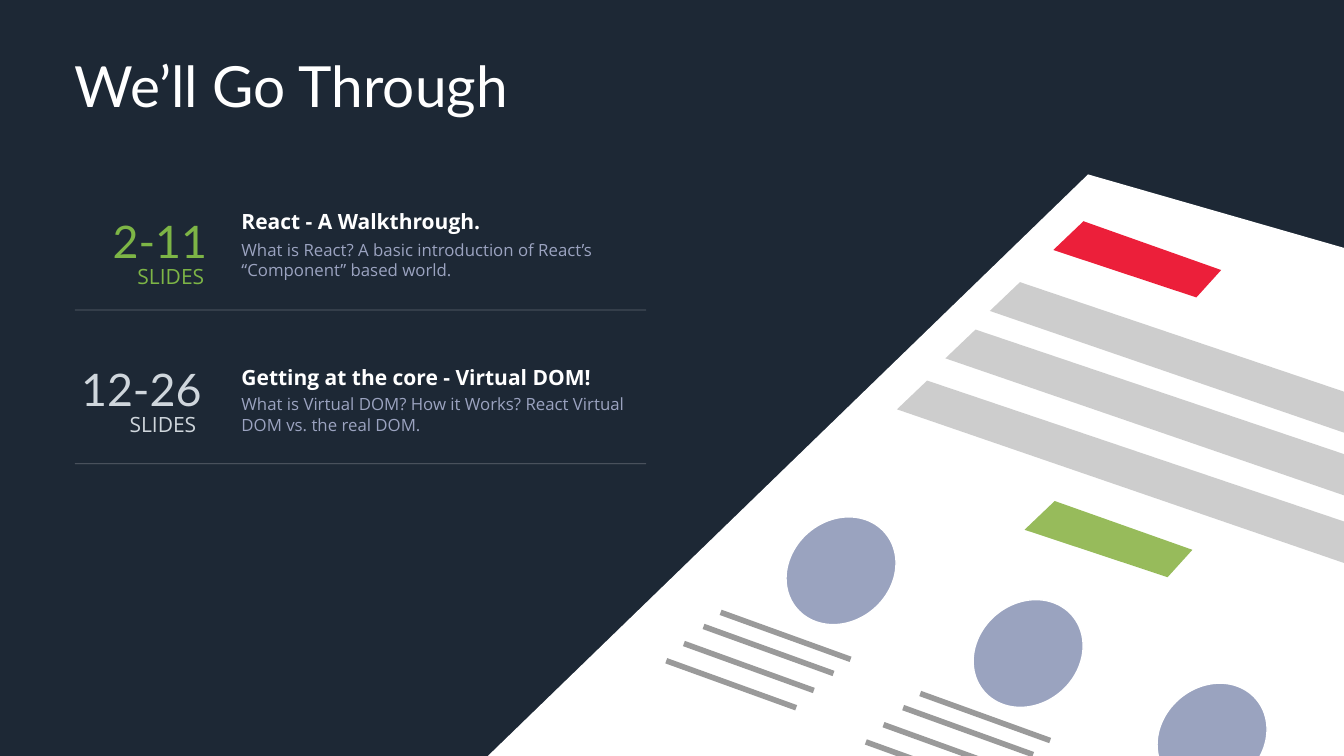
from lxml import etree
from pptx import Presentation, util as u
from pptx.dml.color import RGBColor
from pptx.enum import shapes, text
from pptx.oxml.ns import qn

NAVY, WHITE, GREEN, PALE = "1D2835", "FFFFFF", "7DB546", "CFD6DC"
RED, LIME, BAR, BLUE, LINE, MUTED = "EC1F3A", "97BB5B", "CDCDCD", "9AA3BF", "9A9A9A", "9BA3C0"

# Outlines and offsets in cm, relative to an element's own origin
PAGE = [(24.59, 38.1), (54.84, 8.79), (86.16, 17.78), (69.24, 38.48)]
TAG = [(1.52, 0), (0, 1.45), (7.21, 3.84), (8.46, 2.46)]
STRIPE = [(1.52, 0), (0, 1.45), (26.39, 10.52), (27.91, 8.92)]
CAPTION_LINES = [(0, 0), (-0.86, 0.71), (-1.85, 1.57), (-2.74, 2.44)]


def rgb(color):
    return RGBColor.from_string(color)


class Deck:
    heading_font = "Lato"
    body_font = "Open Sans"

    def __init__(self, width, height):
        self.prs = Presentation()
        self.prs.slide_width, self.prs.slide_height = u.Cm(width), u.Cm(height)

    def add_slide(self, color):
        self.s = self.prs.slides.add_slide(self.prs.slide_layouts[6])
        fill = self.s.background.fill
        fill.solid()
        fill.fore_color.rgb = rgb(color)

    def paint(self, sp, color, outline=None):
        sp.shadow.inherit = False
        sp.fill.solid()
        sp.fill.fore_color.rgb = rgb(color)
        if outline:
            sp.line.color.rgb = rgb(outline)
            sp.line.width = u.Pt(2)
        else:
            sp.line.fill.background()

    def polygon(self, points, color, x=0, y=0):
        corners = [(u.Cm(x + dx), u.Cm(y + dy)) for dx, dy in points]
        builder = self.s.shapes.build_freeform(*corners[0])
        builder.add_line_segments(corners[1:], close=True)
        self.paint(builder.convert_to_shape(), color)

    def oval(self, x, y, w, h, color, rotation):
        sp = self.s.shapes.add_shape(shapes.MSO_SHAPE.OVAL, u.Cm(x), u.Cm(y), u.Cm(w), u.Cm(h))
        sp.rotation = rotation
        self.paint(sp, color, WHITE)

    def line(self, x, y, dx, dy, color, width, opacity=100):
        c = self.s.shapes.add_connector(
            shapes.MSO_CONNECTOR.STRAIGHT, u.Cm(x), u.Cm(y), u.Cm(x + dx), u.Cm(y + dy))
        c.line.color.rgb = rgb(color)
        c.line.width = u.Pt(width)
        props = c._element.spPr
        if opacity < 100:
            clr = next(props.iter(qn("a:srgbClr")))
            etree.SubElement(clr, qn("a:alpha")).set("val", str(opacity * 1000))
        etree.SubElement(props, qn("a:effectLst"))

    def text(self, x, y, w, h, words, size, color, font, bold=False, wrap=True,
             align=text.PP_ALIGN.LEFT, anchor=text.MSO_ANCHOR.MIDDLE):
        tf = self.s.shapes.add_textbox(u.Cm(x), u.Cm(y), u.Cm(w), u.Cm(h)).text_frame
        tf.margin_left = tf.margin_right = tf.margin_top = tf.margin_bottom = 0
        tf.word_wrap = wrap
        tf.auto_size = text.MSO_AUTO_SIZE.NONE if wrap else text.MSO_AUTO_SIZE.SHAPE_TO_FIT_TEXT
        tf.vertical_anchor = anchor
        p = tf.paragraphs[0]
        p.alignment = align
        r = p.add_run()
        r.text = words
        r.font.size, r.font.name, r.font.bold = u.Pt(size), font, bold
        r.font.color.rgb = rgb(color)

    def topic(self, heading, body, slides, color, heading_y, body_y, rule_y,
              number_x, number_y, number_w, label_x):
        """Add one agenda row: slide range, heading, description and rule."""
        self.line(3.78, rule_y, 28.78, 0, WHITE, 1, opacity=30)
        self.text(12.17, heading_y, 20.02, 1.65, heading, 30, WHITE, self.body_font, bold=True)
        self.text(12.17, body_y, 20.02, 2.54, body, 24, MUTED, self.body_font,
                  anchor=text.MSO_ANCHOR.TOP)
        self.text(number_x, number_y, number_w, 2.74, slides, 64, color, self.heading_font,
                  wrap=False, align=text.PP_ALIGN.RIGHT)
        self.text(label_x, number_y + 2.54, 3.53, 1.27, "SLIDES", 30, color, self.body_font,
                  wrap=False)


def main():
    deck = Deck(67.74, 38.1)
    deck.add_slide(NAVY)
    deck.text(3.78, 2.57, 24.21, 3.45, "We’ll Go Through", 81, WHITE, deck.heading_font,
              wrap=False)

    # Tilted web page
    deck.polygon(PAGE, WHITE)
    deck.polygon(TAG, RED, 53.09, 11.15)
    for x, y in [(49.89, 14.22), (47.65, 16.61), (45.21, 19.18)]:
        deck.polygon(STRIPE, BAR, x, y)
    deck.polygon(TAG, LIME, 51.64, 25.25)
    for x, y in [(39.85, 25.83), (49.28, 30), (58.55, 34.21)]:
        deck.oval(x, y, 5.08, 5.87, BLUE, 49.1)
    for x, y in [(36.32, 30.86), (46.38, 34.95)]:
        for dx, dy in CAPTION_LINES:
            deck.line(x + dx, y + dy, 6.55, 2.37, LINE, 8)

    # Agenda
    deck.topic("React - A Walkthrough.",
               "What is React? A basic introduction of React’s “Component” based world.",
               "2-11", GREEN, heading_y=10.31, body_y=12.09, rule_y=15.62,
               number_x=5.13, number_y=10.74, number_w=5.31, label_x=6.93)
    deck.topic("Getting at the core - Virtual DOM!",
               "What is Virtual DOM? How it Works? React Virtual DOM vs. the real DOM.",
               "12-26", PALE, heading_y=18.16, body_y=19.86, rule_y=23.37,
               number_x=3.15, number_y=18.21, number_w=7.01, label_x=6.53)

    deck.prs.save("out.pptx")


if __name__ == "__main__":
    main()
